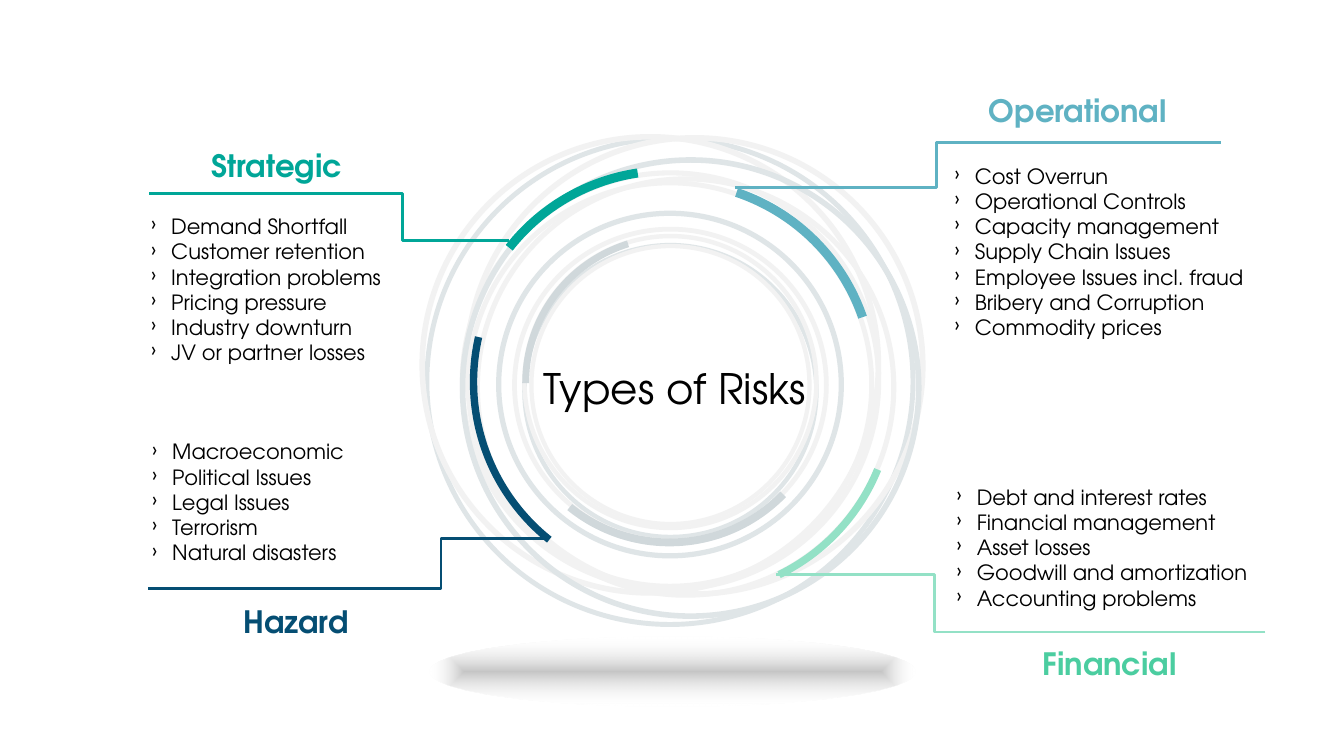
"""Build the Types of Risks slide: layered rings with four labelled risk groups."""
from lxml import etree
from pptx import Presentation
from pptx.dml.color import RGBColor
from pptx.enum.shapes import MSO_CONNECTOR, MSO_SHAPE
from pptx.enum.text import MSO_ANCHOR, MSO_AUTO_SIZE, PP_ALIGN
from pptx.oxml import parse_xml
from pptx.oxml.ns import nsdecls, qn
from pptx.util import Inches, Pt

DONUT, ARC, OVAL = MSO_SHAPE.DONUT, MSO_SHAPE.BLOCK_ARC, MSO_SHAPE.OVAL
ELBOW = MSO_CONNECTOR.ELBOW
MIDDLE, CENTER, LEFT = MSO_ANCHOR.MIDDLE, PP_ALIGN.CENTER, PP_ALIGN.LEFT
GROW, FIXED = MSO_AUTO_SIZE.SHAPE_TO_FIT_TEXT, MSO_AUTO_SIZE.NONE
FONT = "TeX Gyre Adventor"
COLORS = {
    "black": "000000", "pale": "F2F2F2", "mist": "DFE5E7", "grey": "D0D8DB",
    "teal": "00A698", "blue": "5FB2C3", "navy": "054E73",
    "mint": "93E1C6", "green": "4BCDA0",
}

presentation = Presentation()
presentation.slide_width = Inches(13.33)
presentation.slide_height = Inches(7.5)
slide = presentation.slides.add_slide(presentation.slide_layouts[5])
shapes = slide.shapes


def add_ring(kind, left, top, size, color, adjustments, rotation=0):
    """Add a square, borderless ring or arc."""
    shape = shapes.add_shape(kind, Inches(left), Inches(top), Inches(size), Inches(size))
    shape.shadow.inherit = False
    shape.line.fill.background()
    shape.fill.solid()
    shape.fill.fore_color.rgb = RGBColor.from_string(COLORS[color])
    shape.rotation = rotation
    for index, value in enumerate(adjustments):
        shape.adjustments[index] = value


def write_text(shape, lines, size, color, bold=False, align=CENTER, fit=GROW, bullet=None, indent=0):
    """Fill a text shape with one formatted paragraph per line."""
    frame = shape.text_frame
    frame.word_wrap = True
    frame.auto_size = fit
    frame.vertical_anchor = MIDDLE
    for index, line in enumerate(lines):
        paragraph = frame.add_paragraph() if index else frame.paragraphs[0]
        paragraph.alignment = align
        run = paragraph.add_run()
        run.text = line
        run.font.name = FONT
        run.font.size = Pt(size)
        run.font.bold = bold
        run.font.color.rgb = RGBColor.from_string(COLORS[color])
        properties = paragraph._p.get_or_add_pPr()
        if indent:
            properties.set("marL", str(Inches(indent)))
            properties.set("indent", str(-Inches(indent)))
        if bullet:
            etree.SubElement(properties, qn("a:buFont")).set("typeface", FONT)
            etree.SubElement(properties, qn("a:buChar")).set("char", bullet)


rings = [
    (5.18, 2.41, 2.94, "mist", 0.015),
    (4.56, 1.69, 4.18, "pale", 0.012),
    (5.08, 2.25, 3.14, "pale", 0.015),
    (4.92, 2.09, 3.45, "mist", 0.015),
    (4.62, 1.79, 4.05, "pale", 0.012),
    (4.71, 1.75, 4.18, "pale", 0.012),
    (4.21, 1.35, 4.87, "mist", 0.01),
    (4.16, 1.33, 4.58, "pale", 0.012),
    (4.6, 1.34, 4.58, "pale", 0.012),
    (4.56, 1.56, 4.58, "mist", 0.012),
    (5.25, 2.42, 2.8, "pale", 0.015),
    (5.18, 2.32, 2.94, "pale", 0.015),
]
for left, top, size, color, thickness in rings:
    add_ring(DONUT, left, top, size, color, [thickness])

floor_shadow = shapes.add_shape(OVAL, Inches(4.26), Inches(6.32), Inches(4.82), Inches(0.69))
floor_shadow.shadow.inherit = False
floor_shadow.line.fill.background()
floor_shadow.fill.background()
properties = floor_shadow._element.spPr
properties.replace(properties.find(qn("a:noFill")), parse_xml(
    f'<a:gradFill {nsdecls("a")} rotWithShape="1"><a:gsLst>'
    '<a:gs pos="0"><a:srgbClr val="595959"><a:alpha val="34000"/></a:srgbClr></a:gs>'
    '<a:gs pos="100000"><a:srgbClr val="FFFFFF"><a:alpha val="0"/></a:srgbClr></a:gs>'
    '</a:gsLst><a:path path="shape">'
    '<a:fillToRect l="50000" t="50000" r="50000" b="50000"/></a:path></a:gradFill>'))

arcs = [
    (5.18, 2.32, 2.96, "grey", (108, 151.61, 0.023), 0),
    (5.03, 2.2, 3.22, "grey", (151.89, 202.81, 0.024), 151),
    (4.58, 1.65, 4.08, "teal", (83.17, 109.19, 0.022), 79.5),
    (4.63, 1.76, 4.08, "blue", (83.44, 114.83, 0.022), 149.5),
    (4.66, 1.75, 4.08, "navy", (83.44, 121.96, 0.018), 349.6),
    (4.81, 1.86, 4.08, "mint", (83.17, 108.26, 0.018), 243.6),
]
for left, top, size, color, adjustments, rotation in arcs:
    add_ring(ARC, left, top, size, color, adjustments, rotation)

groups = [
    ("Strategic", "teal", "teal", (1.81, 1.4, 1.87, 0.47),
     (5.05, 2.39, 1.48, 1.92), 0.295, (1.4, 2.06, 3.11, 1.62),
     ["Demand Shortfall", "Customer retention", "Integration problems",
      "Pricing pressure", "Industry downturn", "JV or partner losses"]),
    ("Operational", "blue", "blue", (9.42, 0.86, 2.54, 0.47),
     (12.11, 1.41, 7.29, 1.86), 0.586, (9.37, 1.56, 3.18, 1.87),
     ["Cost Overrun", "Operational Controls", "Capacity management",
      "Supply Chain Issues", "Employee Issues incl. fraud",
      "Bribery and Corruption", "Commodity prices"]),
    ("Hazard", "navy", "navy", (2, 5.93, 1.87, 0.47),
     (5.42, 5.34, 1.47, 5.84), 0.265, (1.41, 4.3, 2.85, 1.36),
     ["Macroeconomic", "Political Issues", "Legal Issues", "Terrorism",
      "Natural disasters"]),
    ("Financial", "green", "mint", (10.07, 6.34, 1.87, 0.47),
     (12.55, 6.27, 7.7, 5.7), 0.676, (9.39, 4.75, 3.16, 1.36),
     ["Debt and interest rates", "Financial management", "Asset losses",
      "Goodwill and amortization", "Accounting problems"]),
]
for heading, text_color, line_color, heading_box, ends, bend, list_box, risks in groups:
    connector = shapes.add_connector(ELBOW, *map(Inches, ends))
    connector.line.color.rgb = RGBColor.from_string(COLORS[line_color])
    connector.line.width = Pt(2)
    properties = connector._element.spPr
    etree.SubElement(properties, qn("a:effectLst"))
    guide = etree.SubElement(properties.find(qn("a:prstGeom")).find(qn("a:avLst")), qn("a:gd"))
    guide.set("name", "adj1")
    guide.set("fmla", f"val {round(bend * 100000)}")
    write_text(shapes.add_textbox(*map(Inches, heading_box)), [heading], 22, text_color, bold=True)
    write_text(shapes.add_textbox(*map(Inches, list_box)), risks, 15, "black",
               align=LEFT, bullet="›", indent=0.2)

title = shapes.title
title.left, title.top, title.width, title.height = map(Inches, (4.34, 3.45, 4.71, 0.8))
write_text(title, ["Types of Risks"], 30, "black", fit=FIXED, indent=0.08)

presentation.save("out.pptx")
